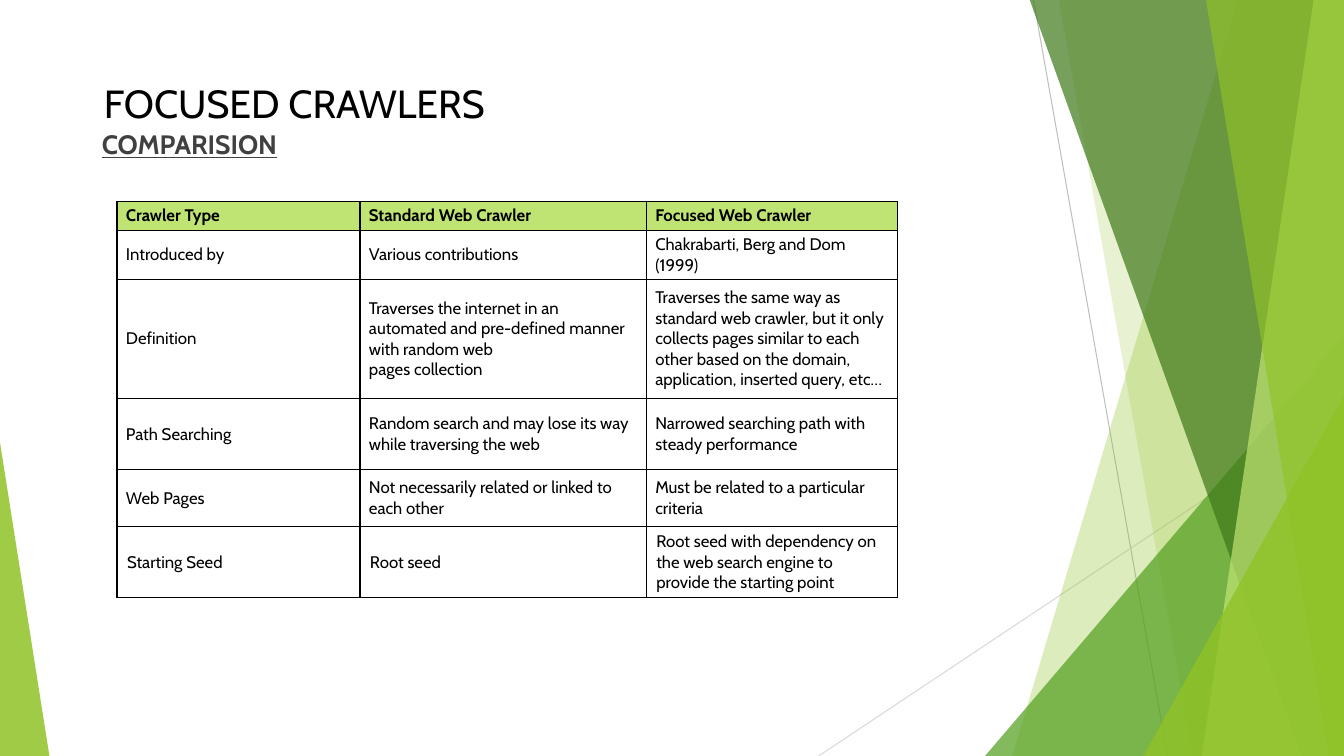
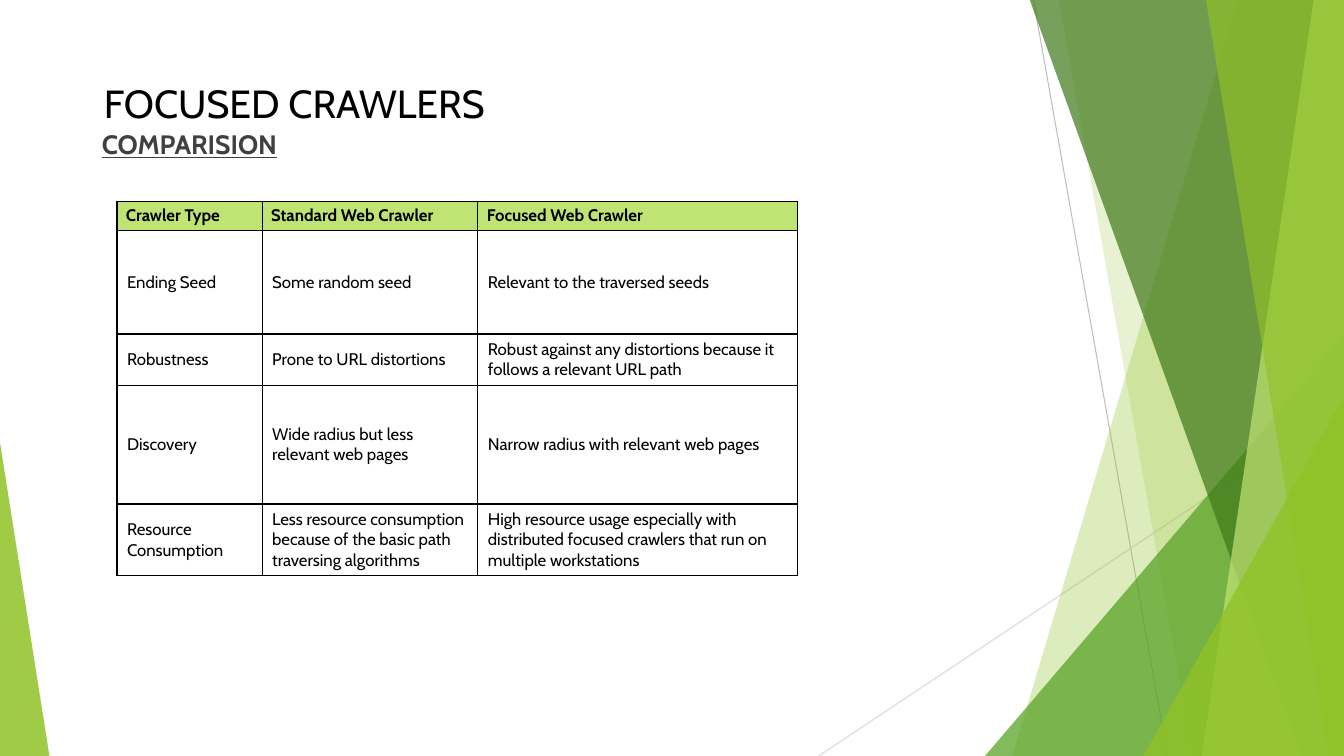
from dataclasses import dataclass

from lxml.etree import SubElement
from pptx import Presentation
from pptx.dml.color import RGBColor
from pptx.dml.fill import FillFormat
from pptx.enum.shapes import MSO_CONNECTOR, MSO_SHAPE
from pptx.enum.text import MSO_ANCHOR, MSO_AUTO_SIZE, PP_ALIGN
from pptx.oxml.ns import qn
from pptx.shapes.autoshape import Shape
from pptx.shapes.shapetree import GroupShapes
from pptx.slide import Slide, SlideLayout
from pptx.table import _Cell
from pptx.text.text import Font, TextFrame
from pptx.util import Inches, Pt

SLIDE_WIDTH, SLIDE_HEIGHT = 13.33, 7.5
BAND_TOP = -0.01
FONT_NAME = "Cabin"
BLACK, DARK_GRAY = "000000", "404040"
GREEN, MID_GREEN, DARK_GREEN, LIGHT_GREEN = "90C226", "54A021", "3F7819", "C0E474"


@dataclass(frozen=True)
class Line:
    start: tuple[float, float]
    end: tuple[float, float]
    color: str


@dataclass(frozen=True)
class Band:
    """A slanted left edge, filled out to the right side of the slide."""
    top_x: float
    bottom_x: float
    color: str
    opacity: int


@dataclass(frozen=True)
class Triangle:
    """A right triangle standing on the bottom of the slide."""
    left: float
    top: float
    right: float
    apex: float
    color: str
    opacity: int


@dataclass(frozen=True)
class Comparison:
    """A table; its first tight_rows rows have narrower cell margins."""
    column_widths: list[float]
    row_heights: list[float]
    tight_rows: int
    rows: list[tuple[str, str, str]]


LINES = [
    Line((10.25, 0), (11.58, SLIDE_HEIGHT), "BFBFBF"),
    Line((SLIDE_WIDTH, 4.03), (8.12, SLIDE_HEIGHT), "D9D9D9"),
]
FACETS = [
    Band(12.28, 10.04, GREEN, 30),
    Band(10.5, 11.83, GREEN, 20),
    Triangle(9.77, 3.33, SLIDE_WIDTH, 1, MID_GREEN, 72),
    Band(10.21, 12.91, DARK_GREEN, 70),
    Band(13.03, 11.92, LIGHT_GREEN, 70),
    Band(11.96, 13.18, GREEN, 65),
    Triangle(11.34, 3.93, SLIDE_WIDTH, 1, GREEN, 80),
    Triangle(0, 4.39, 0.49, 0, GREEN, 85),
]

TITLE = "FOCUSED CRAWLERS"
SUBTITLE = "COMPARISION"
HEADER = ("Crawler Type", "Standard Web Crawler", "Focused Web Crawler")
COMPARISONS = [
    Comparison(
        [2.41, 2.84, 2.49],
        [0.23, 0.24, 1.18, 0.71, 0.56, 0.56],
        5,
        [
            HEADER,
            ("Introduced by", "Various contributions", "Chakrabarti, Berg and Dom (1999)"),
            (
                "Definition",
                "Traverses the internet in an automated and pre-defined manner "
                "with random web\vpages collection",
                "Traverses the same way as standard web crawler, but it only collects pages "
                "similar to each other based on the domain, application, inserted query, etc…",
            ),
            (
                "Path Searching",
                "Random search and may lose its way while traversing the web",
                "Narrowed searching path with steady performance",
            ),
            (
                "Web Pages",
                "Not necessarily related or linked to each other",
                "Must be related to a particular criteria",
            ),
            (
                "Starting Seed",
                "Root seed",
                "Root seed with dependency on the web search engine to provide the starting point",
            ),
        ],
    ),
    Comparison(
        [1.44, 2.14, 3.17],
        [0.23, 1.03, 0.24, 1.18, 0.71],
        1,
        [
            HEADER,
            ("Ending Seed", "Some random seed", "Relevant to the traversed seeds"),
            (
                "Robustness",
                "Prone to URL distortions",
                "Robust against any distortions because it follows a relevant URL path",
            ),
            (
                "Discovery",
                "Wide radius but less\vrelevant web pages",
                "Narrow radius with relevant web pages",
            ),
            (
                "Resource\vConsumption",
                "Less resource consumption because of the basic path traversing algorithms",
                "High resource usage especially with distributed focused crawlers "
                "that run on multiple workstations",
            ),
        ],
    ),
]


def rgb(color: str) -> RGBColor:
    return RGBColor.from_string(color)


def fill_solid(fill: FillFormat, color: str) -> None:
    fill.solid()
    fill.fore_color.rgb = rgb(color)


def style_font(font: Font, size: float, color: str, bold: bool = False) -> None:
    font.name = FONT_NAME
    font.size = Pt(size)
    font.bold = bold
    font.color.rgb = rgb(color)


def style_text(text_frame: TextFrame, size: float, color: str, bold: bool = False) -> None:
    for paragraph in text_frame.paragraphs:
        paragraph.alignment = PP_ALIGN.LEFT
        for run in paragraph.runs:
            style_font(run.font, size, color, bold)


def draw_line(shapes: GroupShapes, line: Line) -> None:
    points = [Inches(value) for value in (*line.start, *line.end)]
    connector = shapes.add_connector(MSO_CONNECTOR.STRAIGHT, *points)
    connector.line.color.rgb = rgb(line.color)
    connector.line.width = Pt(0.75)
    SubElement(connector.element.spPr, qn("a:effectLst"))


def add_band(shapes: GroupShapes, band: Band) -> Shape:
    builder = shapes.build_freeform(Inches(band.top_x), Inches(BAND_TOP))
    corners = [
        (SLIDE_WIDTH, BAND_TOP),
        (SLIDE_WIDTH, SLIDE_HEIGHT),
        (band.bottom_x, SLIDE_HEIGHT),
    ]
    builder.add_line_segments([(Inches(x), Inches(y)) for x, y in corners], close=True)
    return builder.convert_to_shape()


def add_triangle(shapes: GroupShapes, triangle: Triangle) -> Shape:
    shape = shapes.add_shape(
        MSO_SHAPE.ISOSCELES_TRIANGLE,
        Inches(triangle.left),
        Inches(triangle.top),
        Inches(triangle.right - triangle.left),
        Inches(SLIDE_HEIGHT - triangle.top),
    )
    shape.adjustments[0] = triangle.apex
    return shape


def draw_facet(shapes: GroupShapes, facet: Band | Triangle) -> None:
    add_facet = add_band if isinstance(facet, Band) else add_triangle
    shape = add_facet(shapes, facet)
    fill_solid(shape.fill, facet.color)
    color_element = shape.element.spPr.find(qn("a:solidFill"))[0]
    SubElement(color_element, qn("a:alpha"), val=str(facet.opacity * 1000))
    shape.line.fill.background()
    shape.shadow.inherit = False


def move_decoration_to_layout(slide: Slide, layout: SlideLayout) -> None:
    """Draw the facets on a slide, then hand them to the layout all slides share."""
    group = slide.shapes.add_group_shape()
    for line in LINES:
        draw_line(group.shapes, line)
    for facet in FACETS:
        draw_facet(group.shapes, facet)
    layout.shapes.element.insert(2, group.element)


def arrange_layout(layout: SlideLayout) -> None:
    areas = [(0.93, 0.74, 4.15, 0.57), (0.86, 1.22, 9.33, 6.06)]
    for index, area in enumerate(areas):
        placeholder = layout.placeholders[index]
        placeholder.left, placeholder.top, placeholder.width, placeholder.height = map(Inches, area)
        placeholder.text_frame.vertical_anchor = MSO_ANCHOR.TOP
        placeholder.text_frame.auto_size = MSO_AUTO_SIZE.NONE


def write_headings(slide: Slide) -> None:
    title_frame = slide.shapes.title.text_frame
    title_frame.text = TITLE
    style_text(title_frame, 28, BLACK)

    subtitle_frame = slide.placeholders[1].text_frame
    subtitle_frame.text = SUBTITLE
    style_text(subtitle_frame, 19, DARK_GRAY, bold=True)
    paragraph = subtitle_frame.paragraphs[0]
    paragraph.space_before = Pt(10)
    paragraph.runs[0].font.underline = True
    properties = paragraph._p.get_or_add_pPr()
    properties.set("marL", str(Inches(0.05)))
    properties.set("indent", "0")
    SubElement(properties, qn("a:buNone"))


def set_borders(cell: _Cell) -> None:
    properties = cell._tc.get_or_add_tcPr()
    for position, side in enumerate(("a:lnL", "a:lnR", "a:lnT", "a:lnB")):
        border = SubElement(properties, qn(side), w=str(Pt(1)))
        SubElement(SubElement(border, qn("a:solidFill")), qn("a:srgbClr"), val=BLACK)
        properties.insert(position, border)


def write_cell(cell: _Cell, text: str, is_header: bool, is_tight: bool) -> None:
    cell.text_frame.text = text
    style_text(cell.text_frame, 12, BLACK, bold=is_header)
    cell.vertical_anchor = MSO_ANCHOR.MIDDLE
    cell.margin_left = cell.margin_right = Inches(0.09 if is_tight else 0.1)
    cell.margin_top = cell.margin_bottom = Inches(0.04 if is_tight else 0.05)
    if is_header:
        fill_solid(cell.fill, LIGHT_GREEN)
    else:
        cell.fill.background()
    set_borders(cell)


def draw_comparison(slide: Slide, comparison: Comparison) -> None:
    widths, heights = comparison.column_widths, comparison.row_heights
    table = slide.shapes.add_table(
        len(heights), len(widths),
        Inches(1.16), Inches(2), Inches(sum(widths)), Inches(sum(heights)),
    ).table
    table.horz_banding = False
    for column, width in zip(table.columns, widths):
        column.width = Inches(width)
    for row_index, (row, height) in enumerate(zip(table.rows, heights)):
        row.height = Inches(height)
        for cell, text in zip(row.cells, comparison.rows[row_index]):
            write_cell(cell, text, row_index == 0, row_index < comparison.tight_rows)


def main() -> None:
    presentation = Presentation()
    presentation.slide_width = Inches(SLIDE_WIDTH)
    presentation.slide_height = Inches(SLIDE_HEIGHT)
    layout = presentation.slide_layouts.get_by_name("Title and Content")
    arrange_layout(layout)
    for comparison in COMPARISONS:
        slide = presentation.slides.add_slide(layout)
        write_headings(slide)
        draw_comparison(slide, comparison)
    move_decoration_to_layout(presentation.slides[0], layout)
    presentation.save("out.pptx")


if __name__ == "__main__":
    main()
